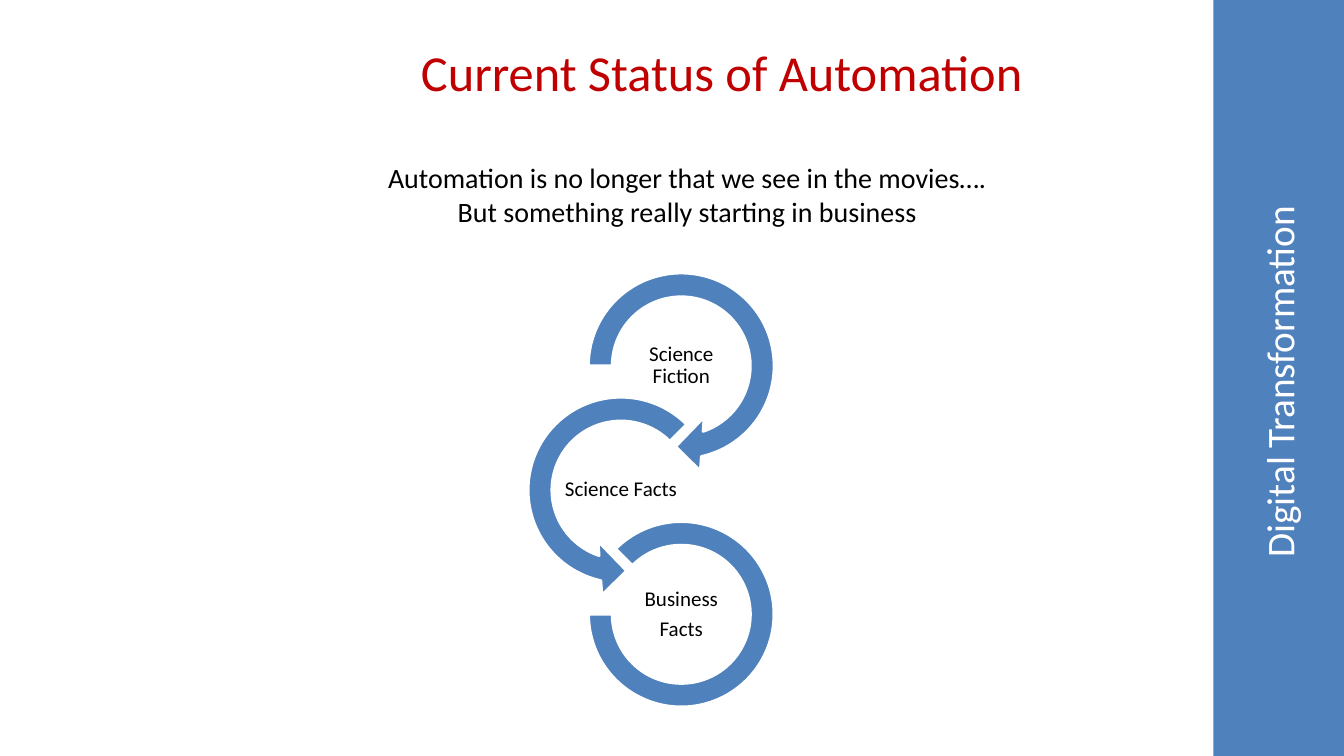
import pptx
import pptx.util
import pptx.dml.color
import pptx.enum.shapes
import pptx.enum.text

Cm = pptx.util.Cm
Pt = pptx.util.Pt
RGBColor = pptx.dml.color.RGBColor
MSO_SHAPE = pptx.enum.shapes.MSO_SHAPE
PP_ALIGN = pptx.enum.text.PP_ALIGN
MSO_ANCHOR = pptx.enum.text.MSO_ANCHOR

BLUE = RGBColor(0x4F, 0x81, 0xBD)
RED = RGBColor(0xC0, 0x00, 0x00)
BLACK = RGBColor(0x00, 0x00, 0x00)
WHITE = RGBColor(0xFF, 0xFF, 0xFF)

SLIDE_W, SLIDE_H = 33.87, 19.05
BAR_W = 3.29
LABEL_W, LABEL_H = 3.02, 1.5
FIRST_CENTRE_Y, STAGE_STEP = 9.22, 3.13
RIGHT_X, LEFT_X = 17.17, 15.65

STAGES = [
    (["Science Fiction"], RIGHT_X, 5.44, MSO_SHAPE.CIRCULAR_ARROW,
     [0.11, 11.42, 45, 108, 0.125]),
    (["Science Facts"], LEFT_X, 5.44, MSO_SHAPE.LEFT_CIRCULAR_ARROW,
     [0.11, 11.42, 63, 189, 0.125]),
    (["Business", "Facts"], RIGHT_X, 4.67, MSO_SHAPE.BLOCK_ARC,
     [135, 108, 0.127]),
]


def format_text(tf, size, color, align=PP_ALIGN.CENTER):
    for p in tf.paragraphs:
        p.alignment = align
        for r in p.runs:
            r.font.name = "Calibri"
            r.font.size = Pt(size)
            r.font.color.rgb = color


def set_insets(tf, x, y):
    tf.margin_left = tf.margin_right = Cm(x)
    tf.margin_top = tf.margin_bottom = Cm(y)


def add_text(slide, x, y, w, h, text, size, color, align=PP_ALIGN.CENTER):
    sp = slide.shapes.add_textbox(Cm(x), Cm(y), Cm(w), Cm(h))
    tf = sp.text_frame
    tf.word_wrap = True
    tf.text = text
    format_text(tf, size, color, align)
    return sp


def add_filled_shape(slide, kind, x, y, w, h):
    sp = slide.shapes.add_shape(kind, Cm(x), Cm(y), Cm(w), Cm(h))
    sp.shadow.inherit = False
    sp.fill.solid()
    sp.fill.fore_color.rgb = BLUE
    sp.line.fill.background()
    return sp


def add_stage(slide, lines, cx, cy, size, kind, adjustments):
    sp = add_filled_shape(slide, kind, cx - size / 2, cy - size / 2, size, size)
    sp.line.color.rgb = WHITE
    sp.line.width = Pt(2)
    for i, value in enumerate(adjustments):
        sp.adjustments[i] = value
    label = add_text(slide, cx - LABEL_W / 2, cy - LABEL_H / 2, LABEL_W, LABEL_H,
                     "\n".join(lines), 15, BLACK)
    tf = label.text_frame
    tf.vertical_anchor = MSO_ANCHOR.MIDDLE
    set_insets(tf, 0.03, 0.03)
    for p in tf.paragraphs:
        p.line_spacing = 0.9
        p.space_after = Pt(5.25)


def set_title(slide, text):
    sp = slide.shapes.title
    sp.left, sp.top, sp.width, sp.height = Cm(5.89), Cm(3.3), Cm(22.86), Cm(3.18)
    tf = sp.text_frame
    tf.vertical_anchor = MSO_ANCHOR.MIDDLE
    tf.paragraphs[0].text = text
    format_text(tf, 20, BLACK)


def add_side_bar(slide, text):
    add_filled_shape(slide, MSO_SHAPE.RECTANGLE, SLIDE_W - BAR_W, 0, BAR_W, SLIDE_H)
    sp = add_text(slide, 24.16, 8.92, 16.13, 1.19, text, 28, WHITE)
    sp.rotation = 270
    set_insets(sp.text_frame, 0.1, 0)


def main():
    prs = pptx.Presentation()
    prs.slide_width, prs.slide_height = Cm(SLIDE_W), Cm(SLIDE_H)
    slide = prs.slides.add_slide(prs.slide_layouts[5])
    set_title(slide, "Automation is no longer that we see in the movies….\n"
                     "But something really starting in business")
    for i, (lines, cx, size, kind, adjustments) in enumerate(STAGES):
        add_stage(slide, lines, cx, FIRST_CENTRE_Y + i * STAGE_STEP, size, kind, adjustments)
    add_text(slide, 10.36, 0.91, 16.84, 1.8, "Current Status of Automation", 36, RED,
             PP_ALIGN.LEFT)
    add_side_bar(slide, "Digital Transformation ")
    prs.save("out.pptx")


if __name__ == "__main__":
    main()
